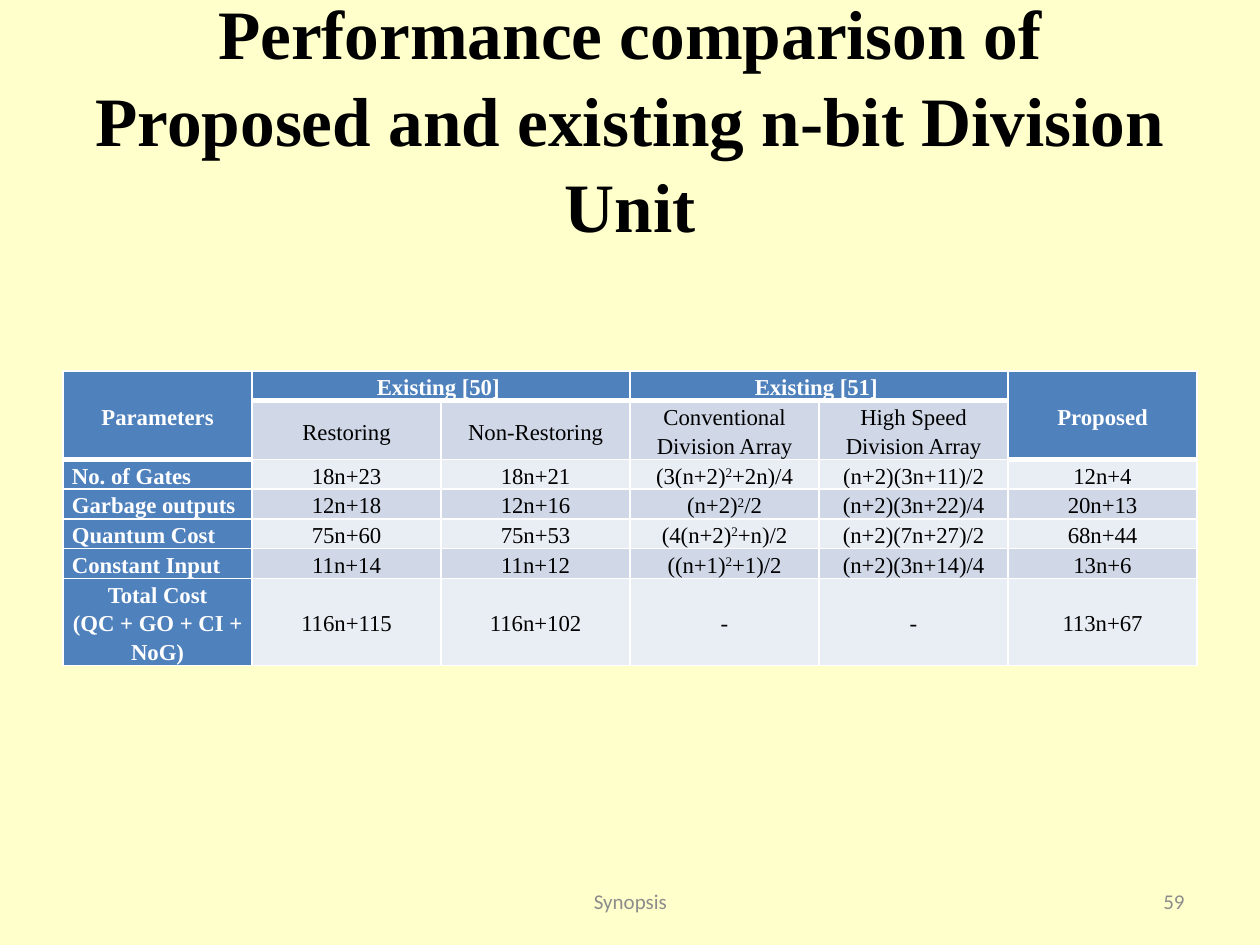
import lxml.etree
import pptx
import pptx.dml.color
import pptx.enum.text
import pptx.oxml.ns
import pptx.util

PX = 914400 / 126
ALIGN = pptx.enum.text.PP_ALIGN
MIDDLE = pptx.enum.text.MSO_ANCHOR.MIDDLE
SERIF, SANS = "Times New Roman", "Calibri"
COLORS = {
    "page": "FFFFCC",
    "heading": "4F81BD",
    "dark band": "D0D8E8",
    "light band": "E9EDF4",
    "white": "FFFFFF",
    "black": "000000",
    "footer": "8C8C8C",
}
# A caret starts and ends a superscript; a line break starts a new paragraph.
ROWS = [
    ["Parameters", "Existing [50] ", "", "Existing [51] ", "", "Proposed"],
    ["", "Restoring", "Non-Restoring", "Conventional Division Array",
     "High Speed Division Array", ""],
    ["No. of Gates", "18n+23", "18n+21", "(3(n+2)^2^+2n)/4", "(n+2)(3n+11)/2", "12n+4"],
    ["Garbage outputs", "12n+18", "12n+16", "(n+2)^2^/2", "(n+2)(3n+22)/4", "20n+13"],
    ["Quantum Cost", "75n+60", "75n+53", "(4(n+2)^2^+n)/2", "(n+2)(7n+27)/2", "68n+44"],
    ["Constant Input", "11n+14", "11n+12", "((n+1)^2^+1)/2", "(n+2)(3n+14)/4", "13n+6"],
    ["Total Cost\n(QC + GO + CI + NoG)", "116n+115", "116n+102", "-", "-", "113n+67"],
]
MERGES = [(0, 0, 1, 0), (0, 1, 0, 2), (0, 3, 0, 4), (0, 5, 1, 5)]
ROW_HEIGHTS = [25, 25, 13, 13, 13, 13, 13]


def px(length):
    return pptx.util.Emu(round(length * PX))


def rgb(name):
    return pptx.dml.color.RGBColor.from_string(COLORS[name])


def add_run(para, text, font, size, color, bold=False):
    span = para.add_run()
    span.text = text
    span.font.name = font
    span.font.size = pptx.util.Pt(size)
    span.font.bold = bold
    span.font.color.rgb = rgb(color)
    return span


def place_title(page, left, top, width, height):
    title = page.shapes.title
    title.left, title.top, title.width, title.height = map(px, (left, top, width, height))
    frame = title.text_frame
    frame.word_wrap = True
    frame.auto_size = pptx.enum.text.MSO_AUTO_SIZE.NONE
    frame.vertical_anchor = MIDDLE
    para = frame.paragraphs[0]
    para.alignment = ALIGN.CENTER
    para.line_spacing = 1.04
    add_run(para, "Performance comparison of Proposed and existing n-bit Division Unit",
            SERIF, 39.6, "black", True)


def is_heading(row, column):
    return row == 0 or column == 0 or (row == 1 and column == 5)


def ends_header(row, column):
    """Tell whether a thick rule runs below this cell."""
    return (row == 0 and 0 < column < 5) or (row == 1 and column in (0, 5))


def set_borders(cell, top, bottom):
    properties = cell._tc.get_or_add_tcPr()
    sides = (("lnL", 1), ("lnR", 1), ("lnT", top), ("lnB", bottom))
    for index, (side, points) in enumerate(sides):
        line = lxml.etree.Element(pptx.oxml.ns.qn("a:" + side), w=str(pptx.util.Pt(points)))
        fill = lxml.etree.SubElement(line, pptx.oxml.ns.qn("a:solidFill"))
        lxml.etree.SubElement(fill, pptx.oxml.ns.qn("a:srgbClr"), val=COLORS["white"])
        properties.insert(index, line)


def fill_cell(cell, text, row, column):
    heading = is_heading(row, column)
    band = "dark band" if row % 2 else "light band"
    cell.fill.solid()
    cell.fill.fore_color.rgb = rgb("heading" if heading else band)
    cell.vertical_anchor = MIDDLE
    cell.margin_left = cell.margin_right = px(9)
    cell.margin_top, cell.margin_bottom = px(1), 0
    set_borders(cell,
                top=3 if row and ends_header(row - 1, column) else 1,
                bottom=3 if ends_header(row, column) else 1)
    if not text:
        return
    row_label = column == 0 and 2 <= row <= 5
    for index, line in enumerate(text.split("\n")):
        frame = cell.text_frame
        para = frame.add_paragraph() if index else frame.paragraphs[0]
        para.alignment = ALIGN.LEFT if row_label else ALIGN.CENTER
        para.line_spacing = 1.15
        for part, piece in enumerate(line.split("^")):
            span = add_run(para, piece, SERIF, 13, "white" if heading else "black", heading)
            if part % 2:
                span._r.get_or_add_rPr().set("baseline", "30000")


def place_comparison(page, left, top, width, height):
    box = page.shapes.add_table(len(ROWS), len(ROWS[0]), *map(px, (left, top, width, height)))
    table = box.table
    for row, row_height in zip(table.rows, ROW_HEIGHTS):
        row.height = px(row_height)
    box.height = px(height)
    for first_row, first_column, last_row, last_column in MERGES:
        table.cell(first_row, first_column).merge(table.cell(last_row, last_column))
    for row, texts in enumerate(ROWS):
        for column, text in enumerate(texts):
            fill_cell(table.cell(row, column), text, row, column)


def place_footer(page, text, alignment, left, top, width, height):
    box = page.shapes.add_textbox(*map(px, (left, top, width, height)))
    box.text_frame.word_wrap = True
    box.text_frame.vertical_anchor = MIDDLE
    para = box.text_frame.paragraphs[0]
    para.alignment = alignment
    add_run(para, text, SANS, 12, "footer")


def main():
    deck = pptx.Presentation()
    deck.slide_width, deck.slide_height = px(1260), px(945)
    page = deck.slides.add_slide(deck.slide_layouts.get_by_name("Title Only"))
    page.background.fill.solid()
    page.background.fill.fore_color.rgb = rgb("page")
    place_title(page, 63, 38, 1134, 158)
    place_comparison(page, 63, 371, 1134, 323)
    place_footer(page, "Synopsis", ALIGN.CENTER, 431, 876, 399, 50)
    place_footer(page, "59", ALIGN.RIGHT, 903, 876, 294, 50)
    deck.save("out.pptx")


if __name__ == "__main__":
    main()
